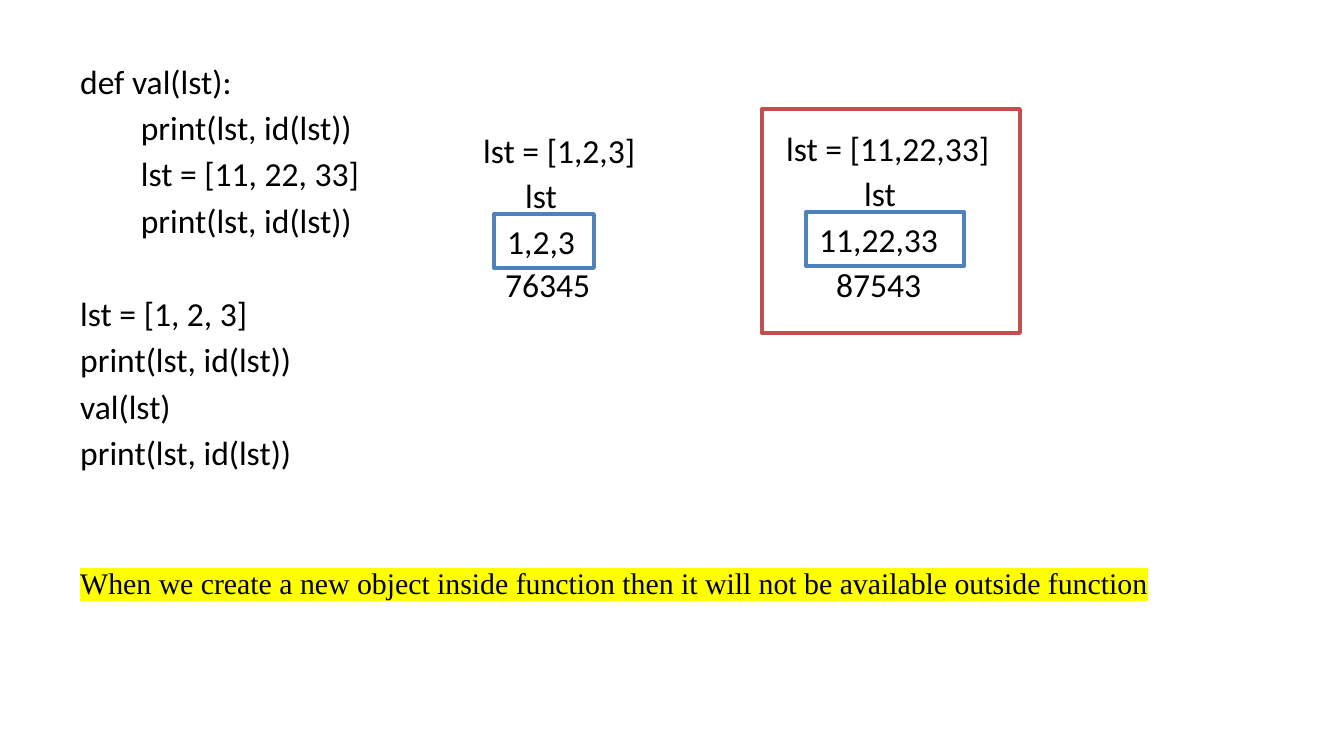
from lxml.etree import SubElement
from pptx import Presentation
from pptx.dml.color import RGBColor
from pptx.enum.shapes import MSO_SHAPE as SHAPE
from pptx.enum.text import MSO_ANCHOR as ANCHOR, PP_ALIGN as ALIGN
from pptx.oxml.ns import qn
from pptx.util import Emu, Pt

BLACK = RGBColor(0x00, 0x00, 0x00)
WHITE = RGBColor(0xFF, 0xFF, 0xFF)
BLUE = RGBColor(0x4F, 0x81, 0xBD)
RED = RGBColor(0xC0, 0x50, 0x4D)
YELLOW = RGBColor(0xFF, 0xFF, 0x00)

FUNCTION = [
    "def val(lst):",
    "        print(lst, id(lst))",
    "        lst = [11, 22, 33]",
    "        print(lst, id(lst))",
]
CALLS = ["lst = [1, 2, 3]", "print(lst, id(lst))", "val(lst)", "print(lst, id(lst))"]
NOTE = "When we create a new object inside function then it will not be available outside function"


def px(n):
    return Emu(round(n * 914400 / 134.4))


def write(p, text, size=18, font="Calibri", color=BLACK, highlight=None, before=0):
    p.alignment = ALIGN.LEFT
    p.space_before = Pt(before)
    r = p.add_run()
    r.text = text
    r.font.size = Pt(size)
    r.font.color.rgb = color
    r.font.name = font
    if highlight is not None:
        rPr = r.font._element
        mark = SubElement(rPr, qn("a:highlight"))
        SubElement(mark, qn("a:srgbClr"), val=str(highlight))
        rPr.find(qn("a:latin")).addprevious(mark)


class Canvas:
    line_gap = 3.2
    block_gap = 28.4
    line_width = 2

    def __init__(self, slide):
        self.s = slide

    def box(self, x, y, w, h, wrap=False):
        tf = self.s.shapes.add_textbox(px(x), px(y), px(w), px(h)).text_frame
        tf.word_wrap = wrap
        return tf

    def label(self, text, x, y, w, h=54, **fmt):
        write(self.box(x, y, w, h).paragraphs[0], text, **fmt)

    def code(self, blocks, x, y, w, h):
        tf = self.box(x, y, w, h, wrap=True)
        for b, block in enumerate(blocks):
            for i, text in enumerate(block):
                first = b == 0 and i == 0
                p = tf.paragraphs[0] if first else tf.add_paragraph()
                gap = self.line_gap if i else self.block_gap
                write(p, text, before=0 if first else gap)

    def rect(self, x, y, w, h, line, fill=None, text=None):
        sp = self.s.shapes.add_shape(SHAPE.RECTANGLE, px(x), px(y), px(w), px(h))
        sp.shadow.inherit = False
        if fill is None:
            sp.fill.background()
        else:
            sp.fill.solid()
            sp.fill.fore_color.rgb = fill
        sp.line.color.rgb = line
        sp.line.width = Pt(self.line_width)
        if text:
            sp.text_frame.vertical_anchor = ANCHOR.MIDDLE
            write(sp.text_frame.paragraphs[0], text)

    def list_object(self, values, address, y, cell, address_x, name_x, code_x, code_w):
        cell_x, cell_w = cell
        self.rect(cell_x, y + 91, cell_w, 54, BLUE, WHITE, values)
        self.label(address, address_x, 257, 113)
        self.label("lst", name_x, y + 45, 59)
        self.label(f"lst = [{values}]", code_x, y, code_w)


def main():
    prs = Presentation()
    prs.slide_width, prs.slide_height = px(1344), px(756)
    c = Canvas(prs.slides.add_slide(prs.slide_layouts[6]))
    c.code([FUNCTION, CALLS], 67, 54, 370, 499)
    c.list_object("1,2,3", "76345", 123, (494, 100), 492, 512, 470, 181)
    c.list_object("11,22,33", "87543", 121, (806, 158), 823, 851, 773, 232)
    c.rect(762, 109, 258, 224, RED)
    c.label(NOTE, 67, 558, 1125, 50, size=16, font="Times New Roman", highlight=YELLOW)
    prs.save("out.pptx")


if __name__ == "__main__":
    main()
